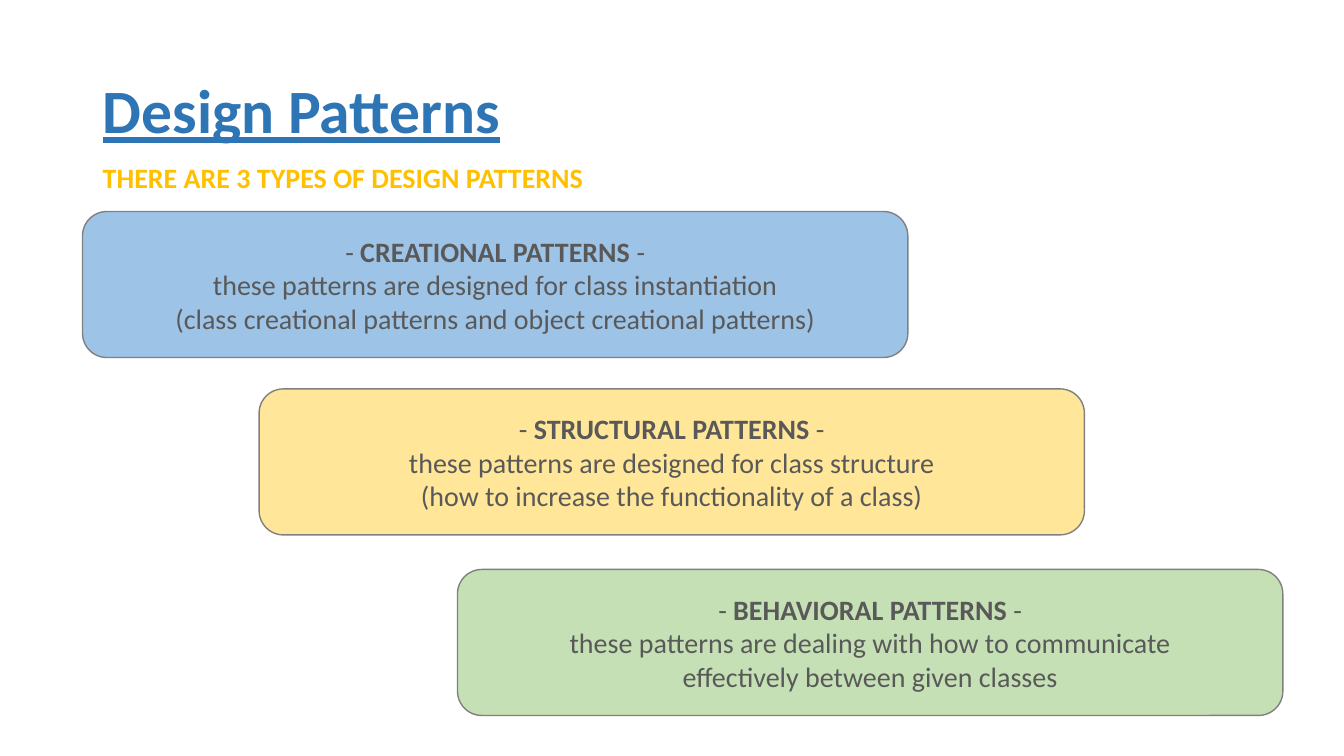
import pptx
import pptx.util
import pptx.dml.color
import pptx.enum.shapes
import pptx.enum.text
from pptx.dml.color import RGBColor
from pptx.util import Cm, Pt

TITLE_BLUE = RGBColor(0x2E, 0x75, 0xB6)
GOLD = RGBColor(0xFF, 0xC0, 0x00)
TEXT_GRAY = RGBColor(0x59, 0x59, 0x59)
LINE_GRAY = RGBColor(0x80, 0x80, 0x80)
LIGHT_BLUE = RGBColor(0x9D, 0xC3, 0xE6)
LIGHT_YELLOW = RGBColor(0xFF, 0xE6, 0x99)
LIGHT_GREEN = RGBColor(0xC5, 0xE0, 0xB4)


def style(paragraph, size, color):
    paragraph.font.name = "Calibri"
    paragraph.font.size = Pt(size)
    paragraph.font.color.rgb = color


presentation = pptx.Presentation()
presentation.slide_width = Cm(33.87)
presentation.slide_height = Cm(19.05)
slide = presentation.slides.add_slide(presentation.slide_layouts[6])

# Title and subtitle
headings = [
    ("Design Patterns", 1.02, 29.21, 3.68, 44, TITLE_BLUE),
    ("THERE ARE 3 TYPES OF DESIGN PATTERNS", 3.91, 12.7, 1.11, 20, GOLD),
]
for text, top, width, height, size, color in headings:
    box = slide.shapes.add_textbox(Cm(2.34), Cm(top), Cm(width), Cm(height))
    box.text_frame.word_wrap = True
    box.text_frame.vertical_anchor = pptx.enum.text.MSO_ANCHOR.MIDDLE
    paragraph = box.text_frame.paragraphs[0]
    paragraph.text = text
    style(paragraph, size, color)
    paragraph.font.bold = True
    if size == 44:
        paragraph.font.underline = True
        paragraph.line_spacing = 0.9

# Staircase of pattern types
patterns = [
    (2.08, 5.33, LIGHT_BLUE, "CREATIONAL PATTERNS ",
     "these patterns are designed for class instantiation",
     "(class creational patterns and object creational patterns)"),
    (6.53, 9.8, LIGHT_YELLOW, "STRUCTURAL PATTERNS ",
     "these patterns are designed for class structure",
     "(how to increase the functionality of a class)"),
    (11.53, 14.35, LIGHT_GREEN, "BEHAVIORAL PATTERNS ",
     "these patterns are dealing with how to communicate",
     "effectively between given classes"),
]
for left, top, fill, name, *description in patterns:
    card = slide.shapes.add_shape(
        pptx.enum.shapes.MSO_SHAPE.ROUNDED_RECTANGLE,
        Cm(left), Cm(top), Cm(20.8), Cm(3.68))
    card.shadow.inherit = False
    card.fill.solid()
    card.fill.fore_color.rgb = fill
    card.line.color.rgb = LINE_GRAY
    card.line.width = Pt(1)
    frame = card.text_frame
    frame.word_wrap = True
    frame.vertical_anchor = pptx.enum.text.MSO_ANCHOR.MIDDLE
    for text in ("- ", name, "-"):
        run = frame.paragraphs[0].add_run()
        run.text = text
        run.font.bold = text == name
    for text in description:
        frame.add_paragraph().text = text
    for paragraph in frame.paragraphs:
        paragraph.alignment = pptx.enum.text.PP_ALIGN.CENTER
        style(paragraph, 20, TEXT_GRAY)

presentation.save("out.pptx")
